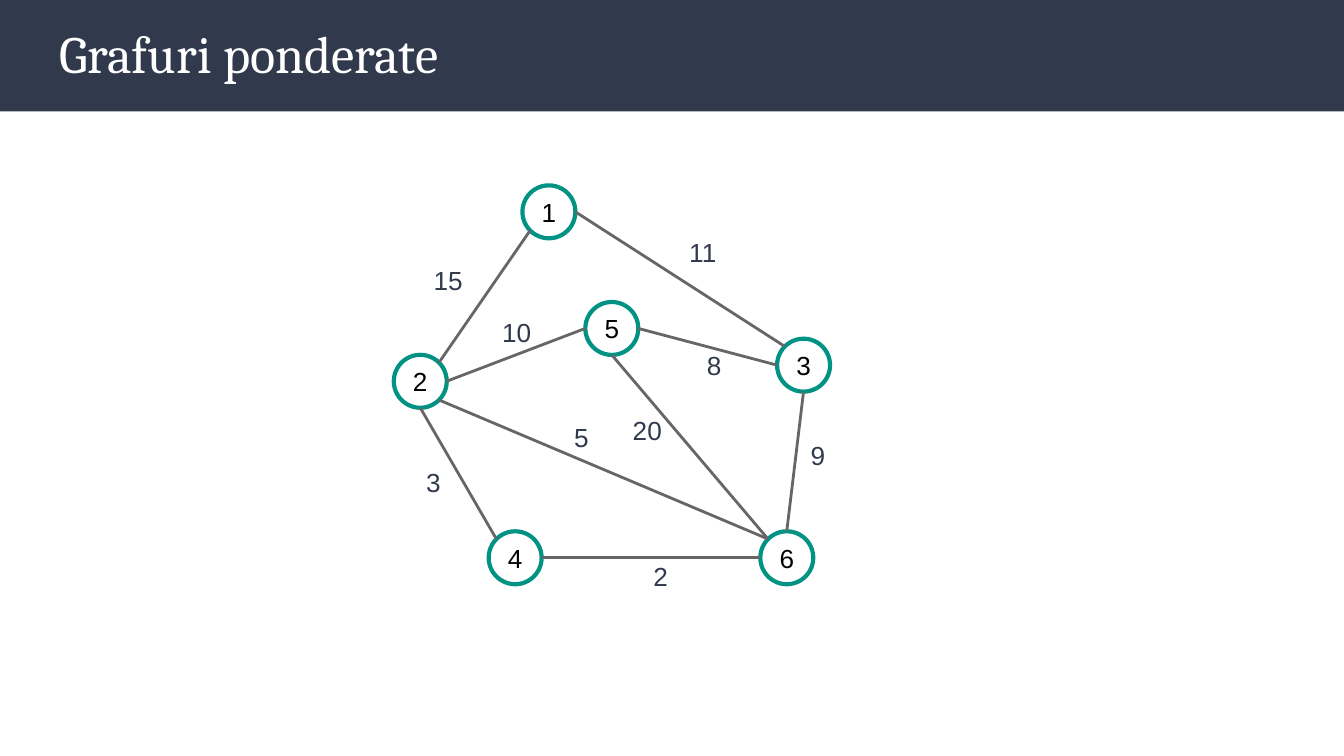
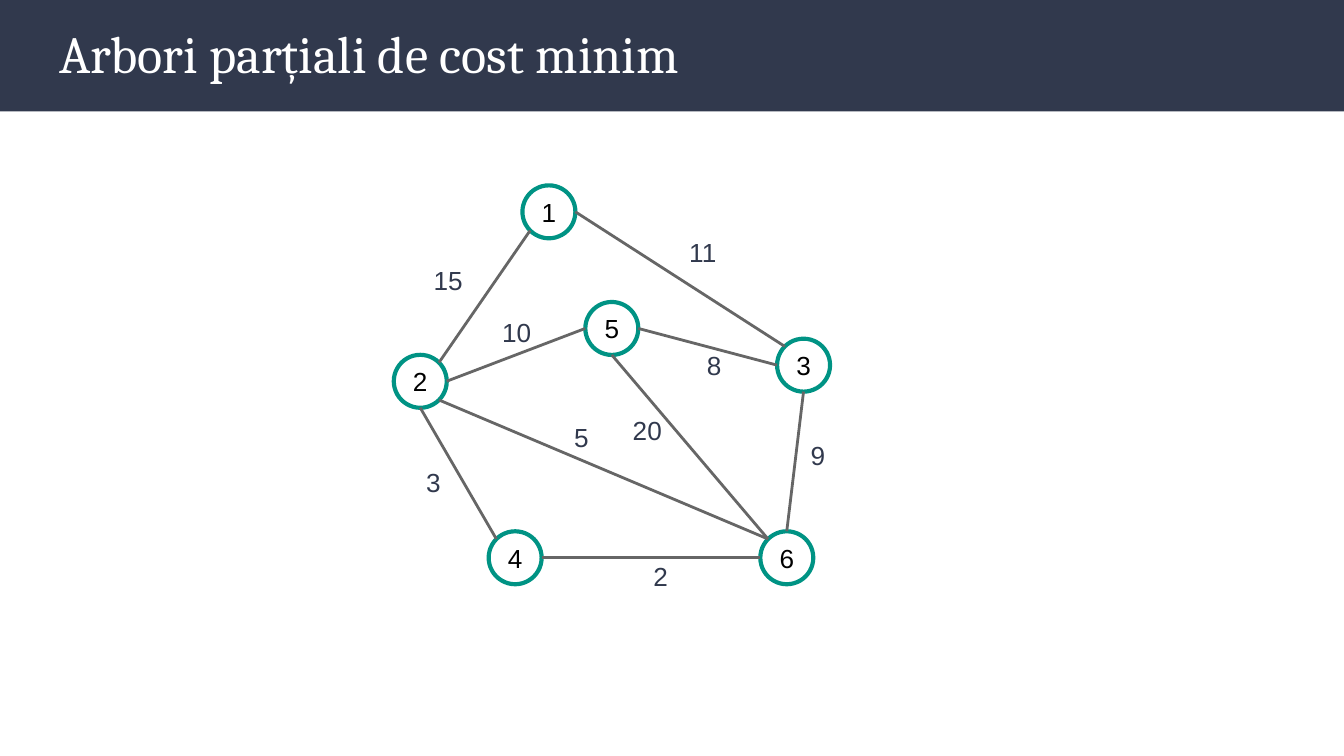
import math

import lxml.etree
import pptx
import pptx.dml.color
import pptx.enum.shapes
import pptx.enum.text
import pptx.oxml.ns
import pptx.util

NAVY = pptx.dml.color.RGBColor(0x31, 0x39, 0x4D)
TEAL = pptx.dml.color.RGBColor(0x00, 0x93, 0x84)
GREY = pptx.dml.color.RGBColor(0x66, 0x66, 0x66)
BLACK = pptx.dml.color.RGBColor(0x00, 0x00, 0x00)
WHITE = pptx.dml.color.RGBColor(0xFF, 0xFF, 0xFF)

SLIDE_WIDTH = pptx.util.Inches(10)
SLIDE_HEIGHT = SLIDE_WIDTH * 9 // 16
GRID_COLUMNS = 100
TITLE_LAYOUT = 5
BAND_ROWS = 8.3
NODE_SIZE = 3.94
LABEL_SIZE = (4.7, 4.4)
TITLES = ["Grafuri ponderate", "Arbori parțiali de cost minim"]

NODE_CENTRES = {
    "1": (40.84, 15.76),
    "2": (31.27, 28.37),
    "5": (45.52, 24.44),
    "6": (58.54, 41.5),
    "4": (38.33, 41.5),
    "3": (59.79, 27.17),
}

SITE_ANGLES = {
    "right": 0,
    "bottom right": 45,
    "bottom": 90,
    "bottom left": 135,
    "left": 180,
    "top left": 225,
    "top": 270,
    "top right": 315,
}

EDGES = [
    ("1", "bottom left", "2", "top right", "15", (31.28, 18.7)),
    ("1", "right", "3", "top left", "11", (50.3, 16.6)),
    ("2", "right", "5", "left", "10", (36.38, 22.54)),
    ("5", "right", "3", "left", "8", (51.62, 25)),
    ("2", "bottom", "4", "top left", "3", (30.73, 33.7)),
    ("2", "bottom right", "6", "top left", "5", (41.74, 30.34)),
    ("4", "right", "6", "left", "2", (47.64, 40.7)),
    ("5", "bottom", "6", "top left", "20", (46.1, 29.8)),
    ("3", "bottom", "6", "top", "9", (59.33, 31.7)),
]


def grid(*cells):
    return [round(cell * SLIDE_WIDTH / GRID_COLUMNS) for cell in cells]


def set_margins(frame, inches):
    margin = pptx.util.Inches(inches)
    frame.margin_left = frame.margin_right = margin
    frame.margin_top = frame.margin_bottom = margin


def write(para, text, font_name, size, color):
    span = para.add_run()
    span.text = text
    span.font.name = font_name
    span.font.size = pptx.util.Pt(size)
    span.font.color.rgb = color


def add_band(slide):
    band = slide.shapes.add_shape(
        pptx.enum.shapes.MSO_SHAPE.RECTANGLE, 0, 0, *grid(GRID_COLUMNS, BAND_ROWS)
    )
    band.shadow.inherit = False
    band.fill.solid()
    band.fill.fore_color.rgb = NAVY
    band.line.fill.background()
    slide.slide_layout.shapes.element.insert(2, band.element)


def set_title(slide, text):
    title = slide.shapes.title
    title.left, title.top, title.width, title.height = grid(3.4, 0.6, 93.2, 6.8)
    frame = title.text_frame
    frame.word_wrap = True
    frame.auto_size = pptx.enum.text.MSO_AUTO_SIZE.NONE
    frame.vertical_anchor = pptx.enum.text.MSO_ANCHOR.TOP
    set_margins(frame, 0.1)
    para = frame.paragraphs[0]
    para.alignment = pptx.enum.text.PP_ALIGN.LEFT
    write(para, text, "Cambria", 28, WHITE)


def add_node(group, name):
    column, row = NODE_CENTRES[name]
    radius = NODE_SIZE / 2
    node = group.shapes.add_shape(
        pptx.enum.shapes.MSO_SHAPE.OVAL,
        *grid(column - radius, row - radius, NODE_SIZE, NODE_SIZE),
    )
    node.shadow.inherit = False
    node.fill.background()
    node.line.color.rgb = TEAL
    node.line.width = pptx.util.Pt(2.25)
    frame = node.text_frame
    frame.vertical_anchor = pptx.enum.text.MSO_ANCHOR.MIDDLE
    set_margins(frame, 0.02)
    para = frame.paragraphs[0]
    para.alignment = pptx.enum.text.PP_ALIGN.CENTER
    write(para, name, "Arial", 14, BLACK)


def site_point(name, site):
    column, row = NODE_CENTRES[name]
    angle = math.radians(SITE_ANGLES[site])
    radius = NODE_SIZE / 2
    return grid(column + radius * math.cos(angle), row + radius * math.sin(angle))


def add_edge(group, start, end):
    edge = group.shapes.add_connector(
        pptx.enum.shapes.MSO_CONNECTOR.STRAIGHT, *start, *end
    )
    edge.line.color.rgb = GREY
    edge.line.width = pptx.util.Pt(1.5)
    properties = edge.element.find(pptx.oxml.ns.qn("p:spPr"))
    lxml.etree.SubElement(properties, pptx.oxml.ns.qn("a:effectLst"))


def add_weight(group, weight, corner):
    box = group.shapes.add_textbox(*grid(*corner, *LABEL_SIZE))
    frame = box.text_frame
    frame.word_wrap = True
    frame.auto_size = pptx.enum.text.MSO_AUTO_SIZE.SHAPE_TO_FIT_TEXT
    set_margins(frame, 0.1)
    write(frame.paragraphs[0], weight, "Arial", 14, NAVY)


def add_graph(slide):
    group = slide.shapes.add_group_shape()
    for name in NODE_CENTRES:
        add_node(group, name)
    for start, start_site, end, end_site, _, _ in EDGES:
        add_edge(group, site_point(start, start_site), site_point(end, end_site))
    for *_, weight, corner in EDGES:
        add_weight(group, weight, corner)


def main():
    deck = pptx.Presentation()
    deck.slide_width = SLIDE_WIDTH
    deck.slide_height = SLIDE_HEIGHT
    layout = deck.slide_layouts[TITLE_LAYOUT]
    slides = [deck.slides.add_slide(layout) for _ in TITLES]
    add_band(slides[0])
    for slide, title in zip(slides, TITLES):
        set_title(slide, title)
        add_graph(slide)
    deck.save("out.pptx")


if __name__ == "__main__":
    main()
